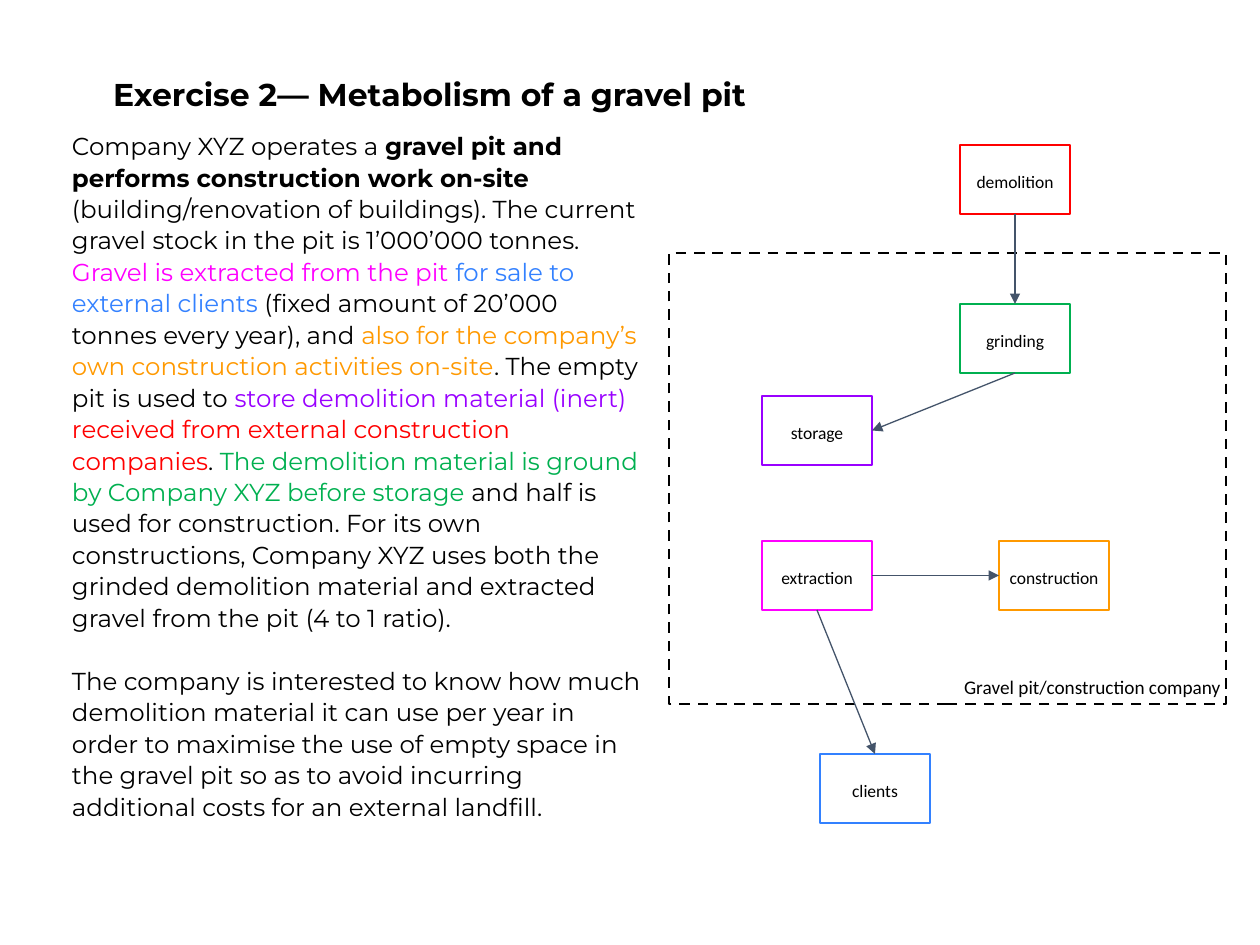
from lxml.etree import SubElement
from pptx import Presentation
from pptx.dml.color import RGBColor
from pptx.enum.dml import MSO_LINE_DASH_STYLE as DASH
from pptx.enum.shapes import MSO_CONNECTOR as CONNECTOR, MSO_SHAPE as SHAPE
from pptx.enum.text import MSO_ANCHOR as ANCHOR, PP_ALIGN as ALIGN
from pptx.oxml.ns import qn
from pptx.util import Emu, Pt

BLACK = RGBColor(0x00, 0x00, 0x00)
MAGENTA = RGBColor(0xFF, 0x00, 0xFF)
BLUE = RGBColor(0x33, 0x81, 0xFF)
ORANGE = RGBColor(0xFF, 0x99, 0x00)
PURPLE = RGBColor(0x99, 0x00, 0xFF)
RED = RGBColor(0xFF, 0x00, 0x00)
GREEN = RGBColor(0x00, 0xB0, 0x50)
SLATE = RGBColor(0x44, 0x54, 0x6A)

TOP, LEFT, BOTTOM, RIGHT = range(4)
BOX_W, BOX_H = 110, 69


def px(n):
    return Emu(round(n * 914400 / 126))


class Deck:
    text_font, label_font = "Montserrat", "Calibri"

    def __init__(self, width, height):
        self.prs = Presentation()
        self.prs.slide_width, self.prs.slide_height = px(width), px(height)
        self.slide = self.prs.slides.add_slide(self.prs.slide_layouts[6])

    def style(self, r, font, size, color=BLACK, bold=False):
        r.font.name, r.font.size, r.font.bold = font, Pt(size), bold
        r.font.color.rgb = color

    def text(self, x, y, w, h, paragraphs, font, size, inset=13,
             align=ALIGN.LEFT, spacing=1.0, gap=0):
        """Each paragraph is a list of (text, color, bold) runs."""
        s = self.slide.shapes.add_textbox(px(x), px(y), px(w), px(h))
        tf = s.text_frame
        tf.word_wrap = True
        tf.margin_left = tf.margin_right = px(13)
        tf.margin_top = tf.margin_bottom = px(inset)
        for i, runs in enumerate(paragraphs):
            p = tf.add_paragraph() if i else tf.paragraphs[0]
            p.alignment, p.line_spacing = align, spacing
            p.space_before = Pt(gap if i else 0)
            for words, color, bold in runs:
                r = p.add_run()
                r.text = words
                self.style(r, font, size, color, bold)
        return s

    def rect(self, x, y, w, h, color, dash=None):
        s = self.slide.shapes.add_shape(SHAPE.RECTANGLE, px(x), px(y), px(w), px(h))
        s.shadow.inherit = False
        s.fill.background()
        s.line.color.rgb, s.line.width = color, Pt(1.5)
        if dash:
            s.line.dash_style = dash
        return s

    def box(self, x, y, label, color):
        s = self.rect(x, y, BOX_W, BOX_H, color)
        tf = s.text_frame
        tf.text = label
        tf.word_wrap, tf.vertical_anchor = True, ANCHOR.MIDDLE
        tf.margin_left = tf.margin_right = tf.margin_bottom = 0
        tf.margin_top = px(4)
        p = tf.paragraphs[0]
        p.alignment = ALIGN.CENTER
        self.style(p.runs[0], self.label_font, 10)
        return s

    def arrow(self, start, start_side, end, end_side):
        s = self.slide.shapes.add_connector(CONNECTOR.STRAIGHT, 0, 0, 0, 0)
        s.begin_connect(start, start_side)
        s.end_connect(end, end_side)
        s.line.color.rgb, s.line.width = SLATE, Pt(0.75)
        SubElement(s.line._get_or_add_ln(), qn("a:tailEnd"), type="triangle")
        SubElement(s._element.spPr, qn("a:effectLst"))


def main():
    deck = Deck(1260, 945)

    # Company boundary
    deck.rect(669, 253, 557, 451, BLACK, DASH.DASH)

    # Exercise text, coloured to match the boxes
    task = [
        ("Company XYZ operates a ", BLACK, False),
        ("gravel pit and performs construction work on-site", BLACK, True),
        (" (building/renovation of buildings). The current gravel stock in the pit "
         "is 1’000’000 tonnes. ", BLACK, False),
        ("Gravel is extracted from the pit ", MAGENTA, False),
        ("for sale to external clients", BLUE, False),
        (" (fixed amount of 20’000 tonnes every year), and ", BLACK, False),
        ("also for the company’s own construction activities on-site", ORANGE, False),
        (". The empty pit is used to", BLACK, False),
        (" store demolition material (inert) ", PURPLE, False),
        ("received from external construction companies", RED, False),
        (". ", BLACK, False),
        ("The demolition material is ground by Company XYZ before storage", GREEN, False),
        (" and half is used for construction. For its own constructions, Company XYZ "
         "uses both the grinded demolition material and extracted gravel from the pit "
         "(4 to 1 ratio).", BLACK, False),
    ]
    question = [
        ("The company is interested to know how much demolition material it can use "
         "per year in order to maximise the use of empty space in the gravel pit so as "
         "to avoid incurring additional costs for an external landfill.", BLACK, False),
    ]
    deck.text(59, 123, 598, 699, [task, question], deck.text_font, 14,
              inset=6, spacing=1.07, gap=18)

    # Title
    title = [("Exercise 2— Metabolism of a gravel pit", BLACK, True)]
    deck.text(100, 62, 1077, 69, [title], deck.text_font, 18)

    # Process boxes
    extraction = deck.box(762, 541, "extraction", MAGENTA)
    clients = deck.box(820, 754, "clients", BLUE)
    construction = deck.box(999, 541, "construction", ORANGE)
    storage = deck.box(762, 396, "storage", PURPLE)
    demolition = deck.box(960, 145, "demolition", RED)
    grinding = deck.box(960, 304, "grinding", GREEN)

    # Material flows
    deck.arrow(extraction, BOTTOM, clients, TOP)
    deck.arrow(extraction, RIGHT, construction, LEFT)
    deck.arrow(demolition, BOTTOM, grinding, TOP)
    deck.arrow(grinding, BOTTOM, storage, RIGHT)

    # Boundary caption
    caption = [("Gravel pit/construction company", BLACK, False)]
    deck.text(927, 664, 331, 49, [caption], deck.label_font, 11, align=ALIGN.CENTER)

    deck.prs.save("out.pptx")


if __name__ == "__main__":
    main()
